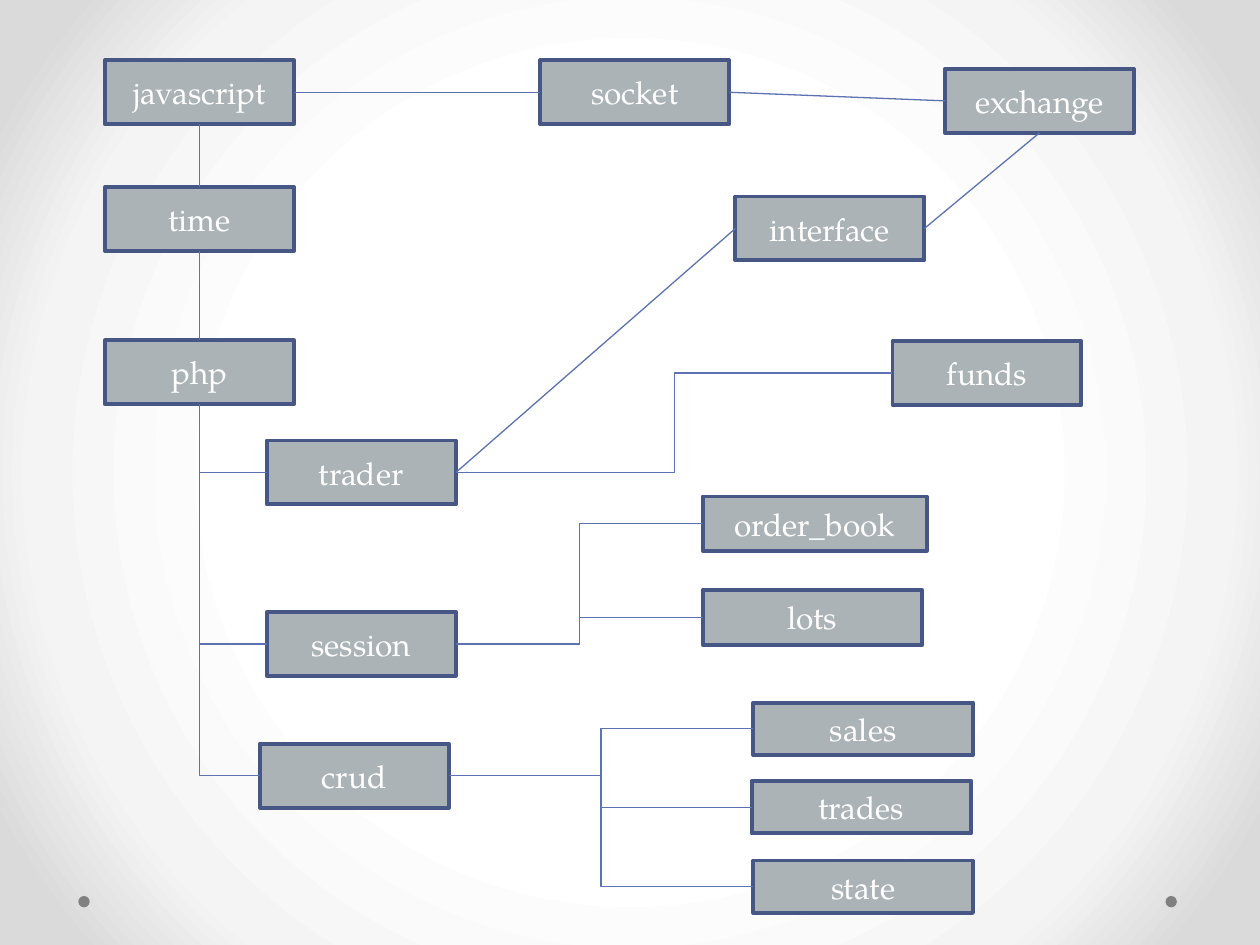
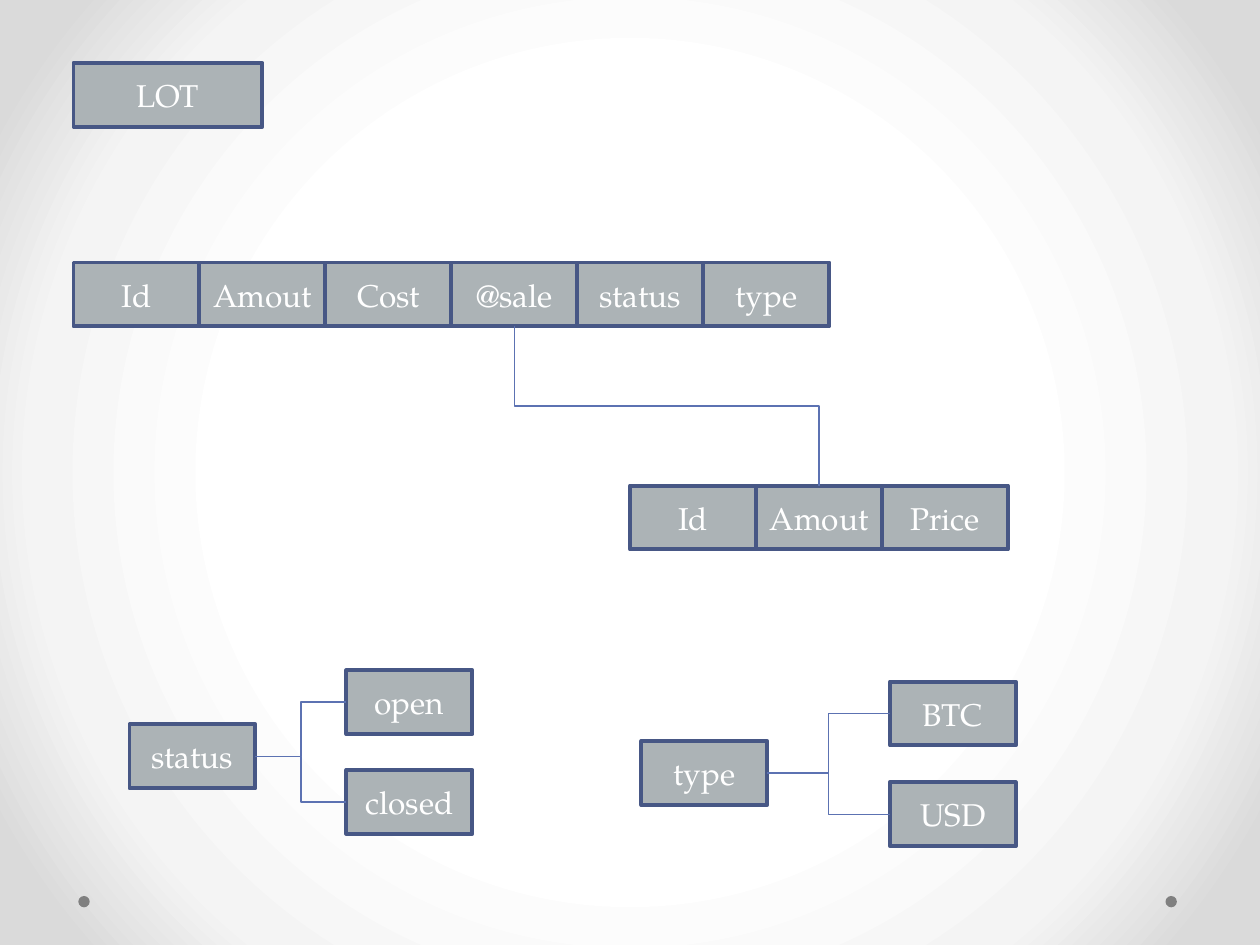
import pptx
import pptx.dml.color
import pptx.enum.shapes
import pptx.enum.text
import pptx.oxml.ns
import pptx.util
from lxml import etree

Pt = pptx.util.Pt
qn = pptx.oxml.ns.qn
SHAPES = pptx.enum.shapes.MSO_SHAPE
LINES = pptx.enum.shapes.MSO_CONNECTOR

FONT = "TeX Gyre Pagella"
BOX_FILL, BOX_LINE, WIRE, DOT, WHITE = "ACB3B6", "475785", "5C72B2", "808080", "FFFFFF"
BACKDROP = [(50, "FFFFFF"), (76, "F4F4F4"), (92, "DADADA")]
TOP, LEFT, BOTTOM, RIGHT = range(4)
BOX_HEIGHT = 36.5
MODULE_WIDTH = 108
FIELD_WIDTH = 72


def color(value):
    """Turn a hex string into a colour."""
    return pptx.dml.color.RGBColor.from_string(value)


def set_backdrop(deck):
    """Give the master a radial gradient that all pages inherit."""
    master = deck.slide_master
    master.background.fill.gradient()
    gradient = next(master._element.iter(qn("a:gradFill")))
    gradient.clear()
    stops = etree.SubElement(gradient, qn("a:gsLst"))
    for position, value in BACKDROP:
        stop = etree.SubElement(stops, qn("a:gs"), pos=str(position * 1000))
        etree.SubElement(stop, qn("a:srgbClr"), val=value)
    circle = etree.SubElement(gradient, qn("a:path"), path="circle")
    etree.SubElement(circle, qn("a:fillToRect"), dict.fromkeys("ltrb", "50000"))


def add_plain_shape(page, kind, left, top, width, height, fill):
    """Add a filled preset shape without a shadow."""
    shape = page.shapes.add_shape(kind, Pt(left), Pt(top), Pt(width), Pt(height))
    shape.shadow.inherit = False
    shape.fill.solid()
    shape.fill.fore_color.rgb = color(fill)
    return shape


def add_page(deck):
    """Add a blank page with the two dots at its foot."""
    page = deck.slides.add_slide(deck.slide_layouts[6])
    for left in (44.75, 666):
        dot = add_plain_shape(page, SHAPES.OVAL, left, 512, 6.5, 6.5, DOT)
        dot.line.fill.background()
    return page


def add_box(page, text, left, top, width=FIELD_WIDTH, height=BOX_HEIGHT):
    """Add a framed box with a centred label."""
    box = add_plain_shape(page, SHAPES.RECTANGLE, left, top, width, height, BOX_FILL)
    box.line.color.rgb = color(BOX_LINE)
    box.line.width = Pt(2.25)
    frame = box.text_frame
    frame.word_wrap = True
    frame.vertical_anchor = pptx.enum.text.MSO_ANCHOR.MIDDLE
    para = frame.paragraphs[0]
    para.text = text
    para.alignment = pptx.enum.text.PP_ALIGN.CENTER
    para.font.name = FONT
    para.font.size = Pt(18)
    para.font.color.rgb = color(WHITE)
    return box


def add_record(page, fields, left, top):
    """Add a row of touching field boxes."""
    return [add_box(page, field, left + index * FIELD_WIDTH, top)
            for index, field in enumerate(fields)]


def connect(page, start, start_side, end, end_side, kind=LINES.STRAIGHT):
    """Join the sides of two boxes."""
    wire = page.shapes.add_connector(kind, 0, 0, 0, 0)
    wire.begin_connect(start, start_side)
    wire.end_connect(end, end_side)
    wire.line.color.rgb = color(WIRE)
    wire.line.width = Pt(0.75)
    etree.SubElement(wire._element.spPr, qn("a:effectLst"))
    return wire


def branch(page, parent, children):
    """Join a parent's right side to the left side of each child."""
    for child in children:
        connect(page, parent, RIGHT, child, LEFT, LINES.ELBOW)


def drop(page, parent, child, child_side):
    """Join a parent's bottom to a lower child, leaving straight down."""
    wire = connect(page, parent, BOTTOM, child, child_side, LINES.ELBOW)
    across, down = wire.width, wire.height
    wire.left += (across - down) // 2
    wire.top += (down - across) // 2
    wire.width, wire.height = down, across
    properties = wire._element.spPr
    frame = properties.find(qn("a:xfrm"))
    frame.set("rot", str(270 * 60000))
    frame.set("flipH", "1")
    if child_side == LEFT:
        properties.find(qn("a:prstGeom")).set("prst", "bentConnector2")


def add_module_page(deck):
    """Draw the map of program modules."""
    page = add_page(deck)
    modules = {
        "javascript": (60, 34.5), "socket": (308.75, 34.5), "exchange": (540, 39.4),
        "time": (60, 107), "interface": (420.25, 112.3),
        "php": (60, 194.5), "funds": (510, 195),
        "trader": (152.5, 251.75), "session": (152.5, 349.75), "crud": (148.5, 425),
    }
    tables = {
        "order_book": (401.5, 283.75, 128, 31), "lots": (401.5, 337, 125.5, 31.5),
        "sales": (430.5, 401.5, 125.5, 30), "trades": (429.5, 446.25, 125.5, 30),
        "state": (430.5, 491.75, 125.5, 30),
    }
    boxes = {name: add_box(page, name, left, top, MODULE_WIDTH)
             for name, (left, top) in modules.items()}
    boxes.update({name: add_box(page, name, *place) for name, place in tables.items()})

    for start, start_side, end, end_side in (
        ("javascript", RIGHT, "socket", LEFT),
        ("socket", RIGHT, "exchange", LEFT),
        ("javascript", BOTTOM, "time", TOP),
        ("time", BOTTOM, "php", TOP),
        ("trader", RIGHT, "interface", LEFT),
        ("interface", RIGHT, "exchange", BOTTOM),
    ):
        connect(page, boxes[start], start_side, boxes[end], end_side)

    for parent, children in (
        ("trader", ["funds"]),
        ("session", ["order_book", "lots"]),
        ("crud", ["sales", "trades", "state"]),
    ):
        drop(page, boxes["php"], boxes[parent], LEFT)
        branch(page, boxes[parent], [boxes[child] for child in children])


def add_lot_page(deck):
    """Draw the fields of a lot and their allowed values."""
    page = add_page(deck)
    add_box(page, "LOT", 42, 36, MODULE_WIDTH)
    lot = add_record(page, ["Id", "Amout", "Cost", "@sale", "status", "type"], 42, 150)
    sale = add_record(page, ["Id", "Amout", "Price"], 360, 277.5)
    drop(page, lot[3], sale[1], TOP)

    for field, left, top, values_left, values in (
        ("status", 74, 414, 198, {"open": 383, "closed": 440}),
        ("type", 366.5, 423.5, 508.5, {"BTC": 389.5, "USD": 447}),
    ):
        parent = add_box(page, field, left, top)
        branch(page, parent, [add_box(page, value, values_left, value_top)
                              for value, value_top in values.items()])


def main():
    """Build and save the deck."""
    deck = pptx.Presentation()
    deck.slide_width, deck.slide_height = Pt(720), Pt(540)
    set_backdrop(deck)
    add_module_page(deck)
    add_lot_page(deck)
    deck.save("out.pptx")


if __name__ == "__main__":
    main()
